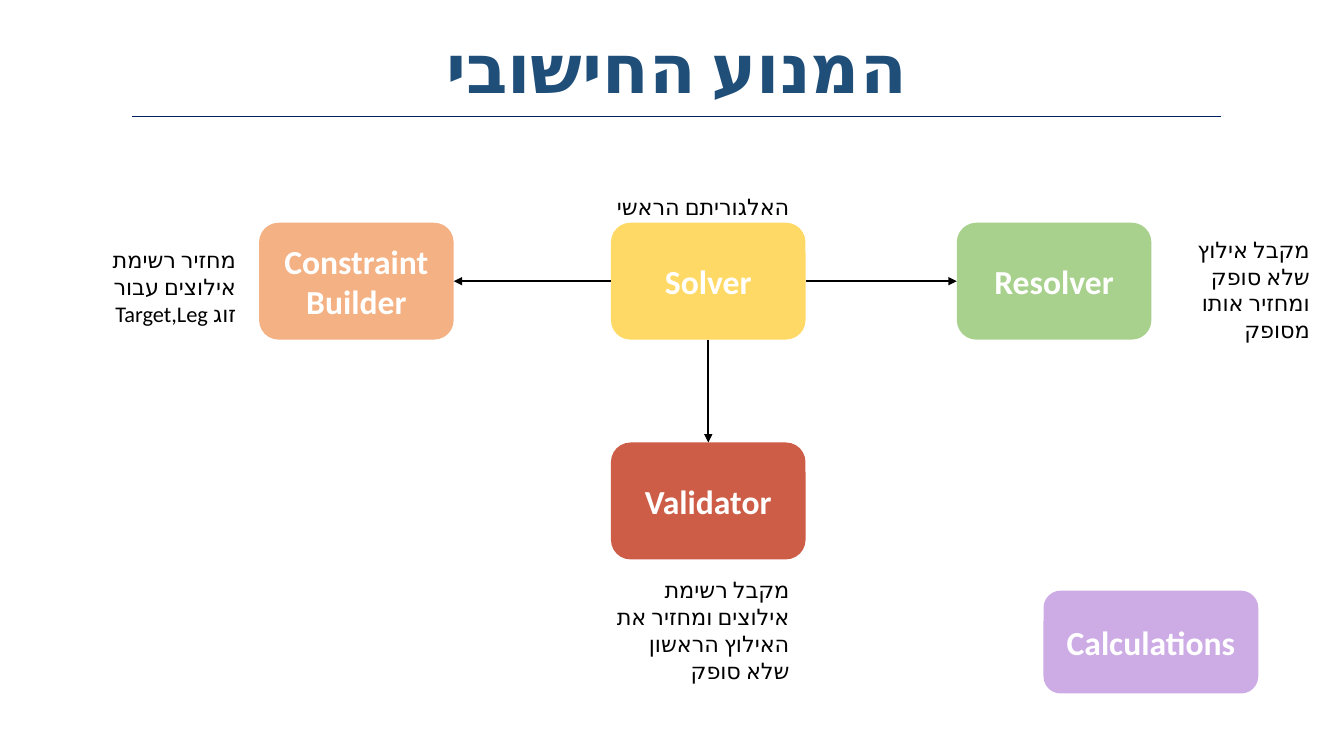
from lxml.etree import SubElement
from pptx import Presentation
from pptx.dml.color import RGBColor
from pptx.enum.lang import MSO_LANGUAGE_ID as Lang
from pptx.enum.shapes import MSO_CONNECTOR as Connector, MSO_SHAPE as Shape
from pptx.enum.text import MSO_ANCHOR as Anchor, MSO_AUTO_SIZE as AutoSize, PP_ALIGN as Align
from pptx.oxml.ns import qn
from pptx.util import Inches, Pt

FONT = "Calibri"
BOX_W, BOX_H = 1.93, 1.16
TOP_ROW, BOTTOM_ROW = 2.21, 4.39
LEFT_COL, MIDDLE_COL, RIGHT_COL = 2.57, 6.06, 9.49
TOP, LEFT, BOTTOM, RIGHT = range(4)  # connection sites of a box


def color(hex_code):
    return RGBColor.from_string(hex_code)


def write(frame, text, size, hex_code, align, bold=False, rtl=False):
    frame.text = text
    frame.word_wrap = True
    paragraph = frame.paragraphs[0]
    paragraph.alignment = align
    font = paragraph.runs[0].font
    font.name, font.size, font.bold = FONT, Pt(size), bold
    font.color.rgb = color(hex_code)
    if rtl:
        paragraph._p.get_or_add_pPr().set("rtl", "1")
        font.language_id = Lang.HEBREW
        SubElement(font._element, qn("a:cs")).set("typeface", FONT)


def add_title(slide, text):
    title = slide.shapes.title
    title.left, title.top = Inches(4.08), Inches(0.3)
    title.width, title.height = Inches(5.26), Inches(0.81)
    frame = title.text_frame
    write(frame, text, 48.6, "1F4E79", Align.CENTER, bold=True, rtl=True)
    frame.auto_size = AutoSize.NONE
    frame.vertical_anchor = Anchor.MIDDLE
    frame.paragraphs[0].line_spacing = 0.9


def add_module(slide, name, left, top, fill, width=BOX_W, height=BOX_H):
    module = slide.shapes.add_shape(
        Shape.ROUNDED_RECTANGLE, Inches(left), Inches(top), Inches(width), Inches(height))
    module.shadow.inherit = False
    module.fill.solid()
    module.fill.fore_color.rgb = color(fill)
    module.line.fill.background()
    module.text_frame.vertical_anchor = Anchor.MIDDLE
    write(module.text_frame, name, 24, "FFFFFF", Align.CENTER, bold=True)
    return module


def add_note(slide, text, left, top, width, height):
    note = slide.shapes.add_textbox(Inches(left), Inches(top), Inches(width), Inches(height))
    write(note.text_frame, text, 16, "000000", Align.RIGHT, rtl=True)


def add_line(slide, start, end, hex_code, weight):
    line = slide.shapes.add_connector(
        Connector.STRAIGHT, *(Inches(value) for value in (*start, *end)))
    line.line.color.rgb = color(hex_code)
    line.line.width = Pt(weight)
    SubElement(line._element.spPr, qn("a:effectLst"))
    return line


def add_arrow(slide, source, source_site, target, target_site):
    arrow = add_line(slide, (0, 0), (1, 1), "000000", 1.5)
    arrow.begin_connect(source, source_site)
    arrow.end_connect(target, target_site)
    SubElement(arrow.line._get_or_add_ln(), qn("a:tailEnd")).set("type", "triangle")


def main():
    deck = Presentation()
    deck.slide_width, deck.slide_height = Inches(13.33), Inches(7.5)
    slide = deck.slides.add_slide(deck.slide_layouts[5])

    # Heading
    add_title(slide, "המנוע החישובי")
    add_line(slide, (1.31, 1.15), (12.11, 1.15), "002060", 0.5)

    # Modules
    add_module(slide, "Calculations", 10.35, 5.86, "CDACE6", 2.13, 1.02)
    builder = add_module(slide, "Constraint Builder", LEFT_COL, TOP_ROW, "F4B183")
    solver = add_module(slide, "Solver", MIDDLE_COL, TOP_ROW, "FFD966")
    resolver = add_module(slide, "Resolver", RIGHT_COL, TOP_ROW, "A9D18E")
    validator = add_module(slide, "Validator", MIDDLE_COL, BOTTOM_ROW, "CD5D47")

    # The solver calls the other modules
    add_arrow(slide, solver, LEFT, builder, RIGHT)
    add_arrow(slide, solver, RIGHT, resolver, LEFT)
    add_arrow(slide, solver, BOTTOM, validator, TOP)

    # What each module does
    add_note(slide, "האלגוריתם הראשי", 6, 1.87, 1.93, 0.37)
    add_note(slide, "מחזיר רשימת אילוצים עבור זוג Target,Leg", 1.02, 2.39, 1.42, 0.91)
    add_note(slide, "מקבל אילוץ שלא סופק ומחזיר אותו מסופק", 11.41, 2.29, 1.68, 0.91)
    add_note(slide, "מקבל רשימת אילוצים ומחזיר את האילוץ הראשון שלא סופק",
             6, 5.67, 1.93, 1.18)

    deck.save("out.pptx")


if __name__ == "__main__":
    main()
